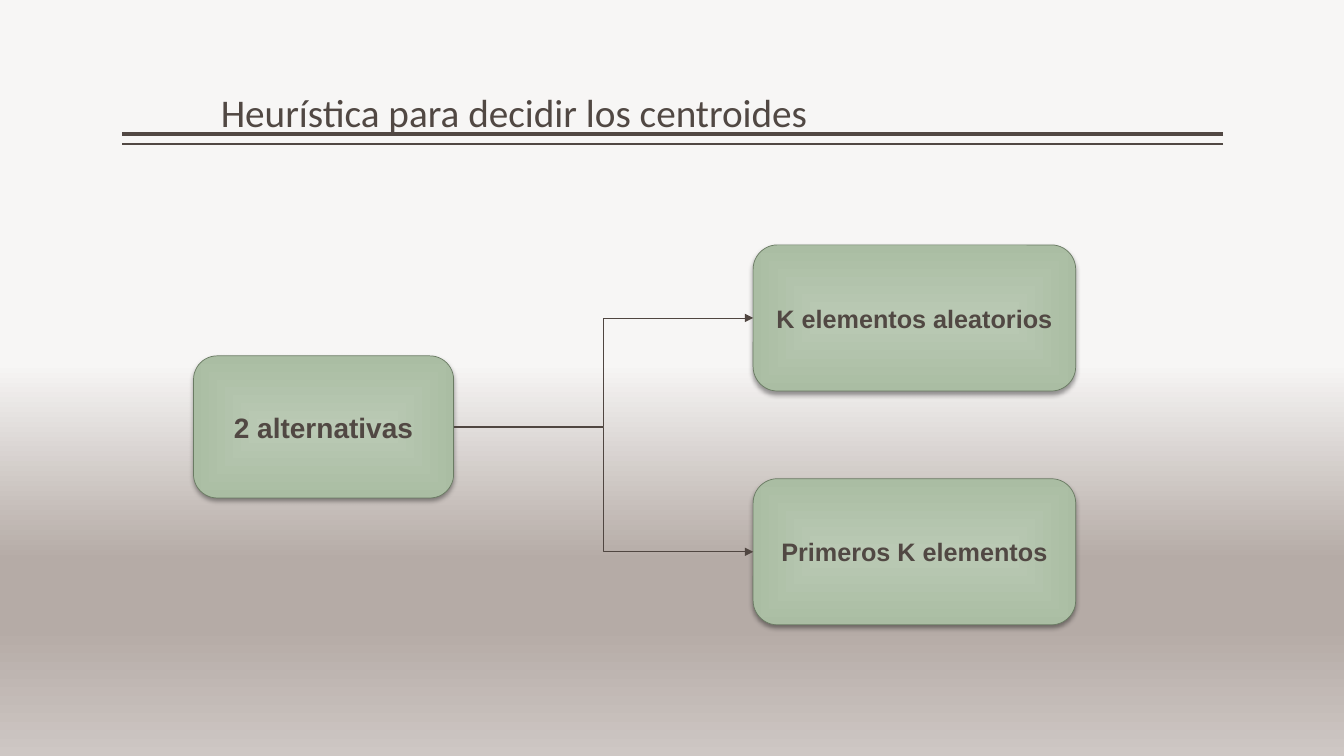
from lxml import etree
from pptx import Presentation
from pptx.dml.color import RGBColor
from pptx.enum.shapes import MSO_CONNECTOR, MSO_SHAPE
from pptx.enum.text import MSO_ANCHOR, PP_ALIGN
from pptx.oxml.ns import qn
from pptx.util import Inches, Pt

ROUNDED = MSO_SHAPE.ROUNDED_RECTANGLE
STRAIGHT, ELBOW = MSO_CONNECTOR.STRAIGHT, MSO_CONNECTOR.ELBOW
MIDDLE, BOTTOM = MSO_ANCHOR.MIDDLE, MSO_ANCHOR.BOTTOM
CENTER = PP_ALIGN.CENTER
LEFT_SITE, RIGHT_SITE = 1, 3
COLUMNS = ROWS = 100

COLORS = {
    "text": "514843",
    "connector": "504641",
    "outline": "6A7B63",
    "green_center": "BAC9B4",
    "green_edge": "AABDA3",
    "paper": "F7F6F5",
    "taupe": "B5ABA6",
    "pale_taupe": "CEC7C4",
    "shadow": "000000",
}


def add_node(parent, tag, **attributes):
    return etree.SubElement(parent, qn(tag), {key: str(value) for key, value in attributes.items()})


class SlideBuilder:
    """Places styled elements on a grid of 100 columns by 100 rows."""

    def __init__(self, deck):
        self.page = deck.slides.add_slide(deck.slide_layouts[6])
        self.column = deck.slide_width / COLUMNS
        self.row = deck.slide_height / ROWS

    def place(self, left, top, width, height):
        return (round(left * self.column), round(top * self.row),
                round(width * self.column), round(height * self.row))

    def gradient(self, fill, owner, stops):
        """Fill with (percent, color) stops and return the node that takes the direction."""
        fill.gradient()
        node = next(owner.iter(qn("a:gradFill")))
        for child in list(node):
            node.remove(child)
        stop_list = add_node(node, "a:gsLst")
        for percent, color in stops:
            stop = add_node(stop_list, "a:gs", pos=percent * 1000)
            add_node(stop, "a:srgbClr", val=COLORS[color])
        return node

    def background(self, stops):
        node = self.gradient(self.page.background.fill, self.page.element, stops)
        add_node(node, "a:lin", ang=90 * 60000, scaled=0)

    def set_text(self, shape, text, font, size, anchor, bold=False):
        frame = shape.text_frame
        frame.text = text
        frame.word_wrap = True
        frame.vertical_anchor = anchor
        paragraph = frame.paragraphs[0]
        span = paragraph.runs[0].font
        span.name, span.size, span.bold = font, Pt(size), bold
        span.color.rgb = RGBColor.from_string(COLORS["text"])
        return paragraph

    def title(self, text, *cell):
        box = self.page.shapes.add_textbox(*self.place(*cell))
        paragraph = self.set_text(box, text, "Calibri", 28, BOTTOM)
        paragraph.line_spacing = 0.9
        box.text_frame.margin_left = Inches(1)
        box.text_frame.margin_right = 0

    def stroke(self, line, color, width):
        line.color.rgb = RGBColor.from_string(COLORS[color])
        line.width = Pt(width)

    def rule(self, left, right, top, width):
        x1, y, x2, _ = self.place(left, top, right, 0)
        rule = self.page.shapes.add_connector(STRAIGHT, x2, y, x1, y)
        self.stroke(rule.line, "text", width)
        add_node(rule.element.spPr, "a:effectLst")

    def card(self, text, size, *cell):
        card = self.page.shapes.add_shape(ROUNDED, *self.place(*cell))
        properties = card.element.spPr
        node = self.gradient(card.fill, properties, [(0, "green_center"), (100, "green_edge")])
        direction = add_node(node, "a:path", path="rect")
        add_node(direction, "a:fillToRect", l=50000, t=50000, r=50000, b=50000)
        self.stroke(card.line, "outline", 0.5)
        card.shadow.inherit = False
        shadow = add_node(properties.find(qn("a:effectLst")), "a:outerShdw", blurRad=Pt(3.5),
                          dist=Pt(2), dir=90 * 60000, rotWithShape=0)
        color = add_node(shadow, "a:srgbClr", val=COLORS["shadow"])
        add_node(color, "a:alpha", val=38000)
        self.set_text(card, text, "Arial", size, MIDDLE, bold=True).alignment = CENTER
        return card

    def arrow(self, source, target):
        arrow = self.page.shapes.add_connector(ELBOW, 0, 0, 0, 0)
        arrow.begin_connect(source, RIGHT_SITE)
        arrow.end_connect(target, LEFT_SITE)
        self.stroke(arrow.line, "connector", 0.5)
        add_node(arrow.element.spPr.find(qn("a:ln")), "a:tailEnd", type="triangle")
        add_node(arrow.element.spPr, "a:effectLst")


def main():
    deck = Presentation()
    deck.slide_width, deck.slide_height = Inches(13.33), Inches(7.5)
    slide = SlideBuilder(deck)
    slide.background([(48, "paper"), (74, "taupe"), (83, "taupe"), (100, "pale_taupe")])
    for top, width in ((17.73, 3), (19.07, 1)):
        slide.rule(9.08, 91, top, width)
    slide.title("Heurística para decidir los centroides", 8.93, 5.87, 71.87, 12.8)

    root = slide.card("2 alternativas", 20, 14.4, 47.07, 19.35, 18.8)
    options = [
        slide.card(text, 18, 56.04, top, 24, 19.33)
        for text, top in (("K elementos aleatorios", 32.4), ("Primeros K elementos", 63.33))
    ]
    for option in options:
        slide.arrow(root, option)
    deck.save("out.pptx")


if __name__ == "__main__":
    main()
